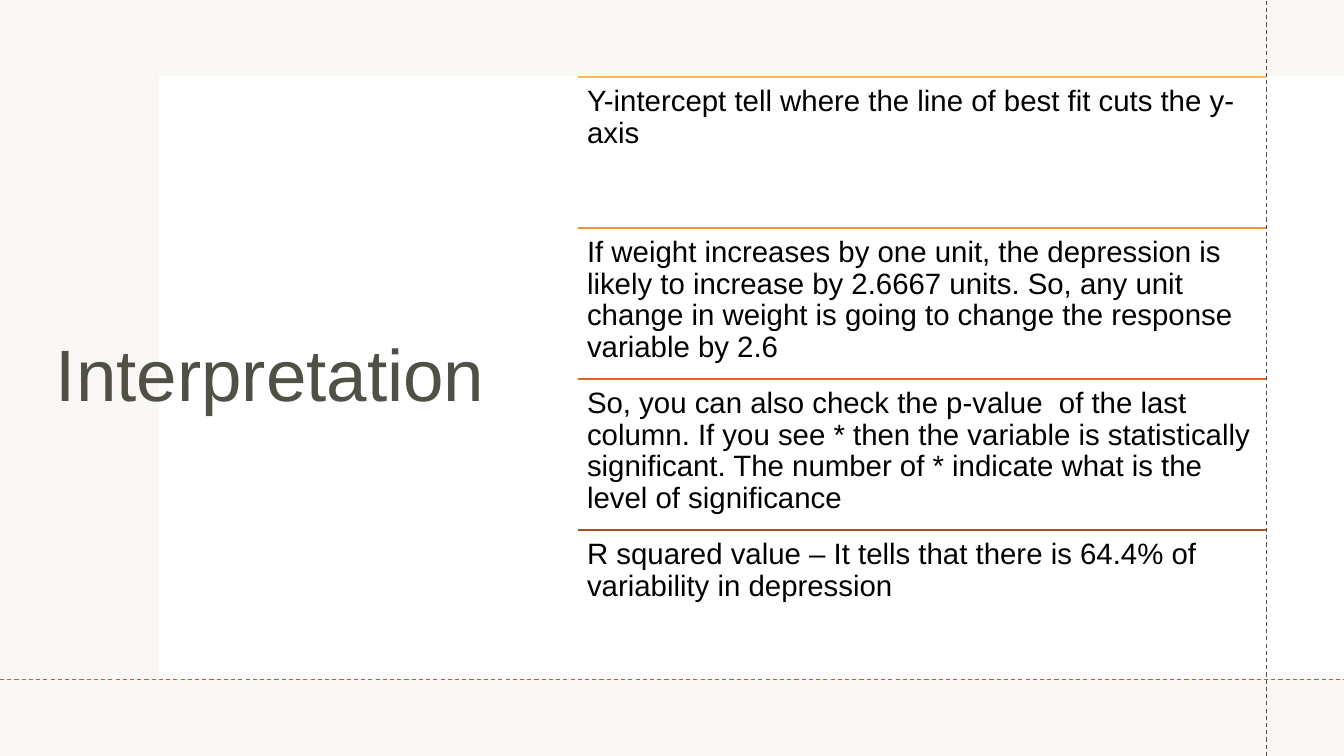
"""Builds the Interpretation slide: a title beside four ruled statements."""
import pptx
import pptx.util
import pptx.dml.color
import pptx.enum.dml
import pptx.enum.shapes
import pptx.enum.text
import lxml.etree

TITLE = "Interpretation"
STATEMENTS = [
    ("Y-intercept tell where the line of best fit cuts the y-axis", "FFBD47"),
    ("If weight increases by one unit, the depression is likely to increase by 2.6667 units. "
     "So, any unit change in weight is going to change the response variable by 2.6", "F29330"),
    ("So, you can also check the p-value  of the last column. If you see * then the variable is "
     "statistically significant. The number of * indicate what is the level of significance",
     "E2671E"),
    ("R squared value – It tells that there is 64.4% of variability in depression", "B64926"),
]
THEME = {
    "font": "Arial", "title_size": 52, "body_size": 21,
    "title": "505046", "body": "000000", "paper": "FFFFFF", "tint": "EEECE1", "tint_alpha": 35,
    "vertical_guide": "505046", "horizontal_guide": "E84C22",
    "guide_width": 0.75, "rule_width": 1, "line_spacing": 0.9,
}
EMU_PER_PIXEL = 9071.43
WIDTH, HEIGHT = 1344, 756
PANEL = (159, 76, 1185, 604)
TITLE_BOX = (46, 104, 493, 548)
LIST_LEFT, LIST_TOP, LIST_WIDTH, ROW_HEIGHT = 578, 77, 688, 151
GUIDE_X, GUIDE_Y = 1267, 680
TITLE_INSETS, BODY_INSETS = (10, 5), (9, 9)


def px(*values):
    return [round(value * EMU_PER_PIXEL) for value in values]


def colour(name):
    return pptx.dml.color.RGBColor.from_string(name)


def add_panel(page, bounds, fill, alpha=None):
    panel = page.shapes.add_shape(pptx.enum.shapes.MSO_SHAPE.RECTANGLE, *px(*bounds))
    panel.shadow.inherit = False
    panel.fill.solid()
    panel.fill.fore_color.rgb = colour(fill)
    panel.line.fill.background()
    if alpha:
        swatch = panel.fill._xPr.find(".//" + pptx.oxml.ns.qn("a:srgbClr"))
        opacity = lxml.etree.SubElement(swatch, pptx.oxml.ns.qn("a:alpha"))
        opacity.set("val", str(alpha * 1000))


def add_line(page, ends, ink, width, dashed=False):
    line = page.shapes.add_connector(pptx.enum.shapes.MSO_CONNECTOR.STRAIGHT, *px(*ends))
    line.line.color.rgb = colour(ink)
    line.line.width = pptx.util.Pt(width)
    if dashed:
        line.line.dash_style = pptx.enum.dml.MSO_LINE.DASH
    lxml.etree.SubElement(line._element.spPr, pptx.oxml.ns.qn("a:effectLst"))


def add_text(page, bounds, words, size, ink, insets, anchor):
    frame = page.shapes.add_textbox(*px(*bounds)).text_frame
    frame.word_wrap = True
    frame.vertical_anchor = anchor
    across, down = px(*insets)
    frame.margin_left = frame.margin_right = across
    frame.margin_top = frame.margin_bottom = down
    para = frame.paragraphs[0]
    para.line_spacing = THEME["line_spacing"]
    span = para.add_run()
    span.text = words
    span.font.name = THEME["font"]
    span.font.size = pptx.util.Pt(size)
    span.font.color.rgb = colour(ink)


deck = pptx.Presentation()
deck.slide_width, deck.slide_height = px(WIDTH, HEIGHT)
page = deck.slides.add_slide(deck.slide_layouts[6])
anchors = pptx.enum.text.MSO_ANCHOR

full_page = (0, 0, WIDTH, HEIGHT)
add_panel(page, full_page, THEME["paper"])
add_panel(page, full_page, THEME["tint"], THEME["tint_alpha"])
add_panel(page, PANEL, THEME["paper"])
add_text(page, TITLE_BOX, TITLE, THEME["title_size"], THEME["title"], TITLE_INSETS, anchors.MIDDLE)

add_line(page, (GUIDE_X, HEIGHT, GUIDE_X, 0), THEME["vertical_guide"], THEME["guide_width"], True)
add_line(page, (0, GUIDE_Y, WIDTH, GUIDE_Y), THEME["horizontal_guide"], THEME["guide_width"], True)

for row, (statement, rule_colour) in enumerate(STATEMENTS):
    top = LIST_TOP + row * ROW_HEIGHT
    add_line(page, (LIST_LEFT, top, LIST_LEFT + LIST_WIDTH, top), rule_colour, THEME["rule_width"])
    add_text(page, (LIST_LEFT, top, LIST_WIDTH, ROW_HEIGHT), statement,
             THEME["body_size"], THEME["body"], BODY_INSETS, anchors.TOP)

deck.save("out.pptx")
